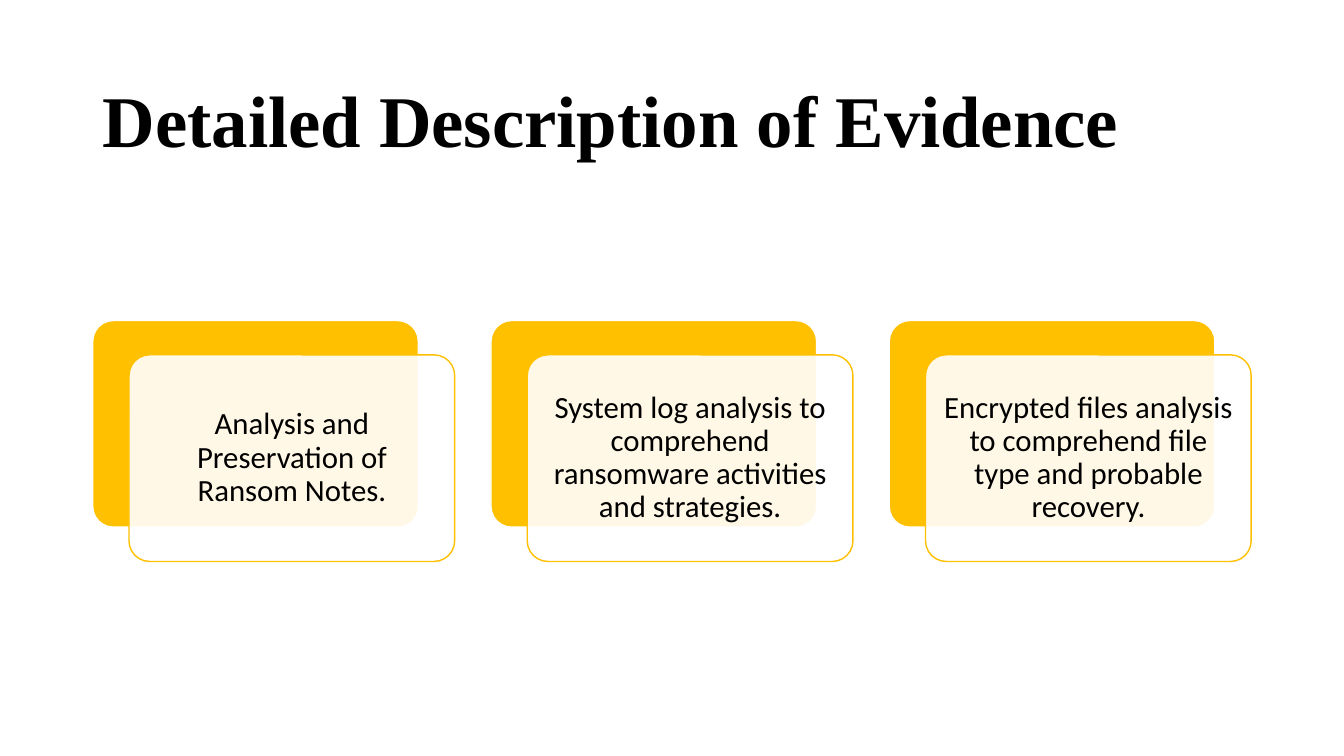
from lxml.etree import SubElement
from pptx import Presentation
from pptx.dml.color import RGBColor
from pptx.enum.shapes import MSO_SHAPE
from pptx.enum.text import MSO_ANCHOR, PP_ALIGN
from pptx.oxml.ns import qn
from pptx.util import Inches, Pt

TITLE = "Detailed Description of Evidence"
EVIDENCE = [
    "Analysis and Preservation of Ransom Notes.",
    "System log analysis to comprehend ransomware activities and strategies.",
    "Encrypted files analysis to comprehend file type and probable recovery.",
]

AMBER = RGBColor(0xFF, 0xC0, 0x00)
WHITE = RGBColor(0xFF, 0xFF, 0xFF)
BLACK = RGBColor(0x00, 0x00, 0x00)

TITLE_FONT = {"name": "Times New Roman", "size": Pt(52), "bold": True}
CARD_FONT = {"name": "Calibri", "size": Pt(22), "bold": False}

LEFT, TOP = 0.92, 3.18
COLUMN = 3.95
CARD_W, CARD_H = 3.23, 2.05
SHIFT_X, SHIFT_Y = 0.36, 0.34
PAD = 0.06


def add_card(slide, x, y, fill, line, opacity=None):
    """Add a rounded card; opacity is a percentage of the fill."""
    sp = slide.shapes.add_shape(MSO_SHAPE.ROUNDED_RECTANGLE, Inches(x), Inches(y),
                                Inches(CARD_W), Inches(CARD_H))
    sp.adjustments[0] = 0.1
    sp.shadow.inherit = False
    sp.fill.solid()
    sp.fill.fore_color.rgb = fill
    sp.line.color.rgb = line
    sp.line.width = Pt(1)
    if opacity is not None:
        color = sp._element.spPr.find(qn("a:solidFill")).find(qn("a:srgbClr"))
        SubElement(color, qn("a:alpha")).set("val", str(opacity * 1000))


def add_text(slide, text, box, font, align, inset_x, inset_y, space_after=0):
    tf = slide.shapes.add_textbox(*map(Inches, box)).text_frame
    frame = {"word_wrap": True, "vertical_anchor": MSO_ANCHOR.MIDDLE,
             "margin_left": Inches(inset_x), "margin_right": Inches(inset_x),
             "margin_top": Inches(inset_y), "margin_bottom": Inches(inset_y)}
    for name, value in frame.items():
        setattr(tf, name, value)
    p = tf.paragraphs[0]
    p.alignment, p.line_spacing, p.space_after = align, 0.9, Pt(space_after)
    r = p.add_run()
    r.text = text
    for name, value in font.items():
        setattr(r.font, name, value)
    r.font.color.rgb = BLACK


def main():
    prs = Presentation()
    prs.slide_width, prs.slide_height = Inches(13.33), Inches(7.5)
    slide = prs.slides.add_slide(prs.slide_layouts[6])

    add_text(slide, TITLE, (LEFT, 0.61, 11.5, 1.24), TITLE_FONT, PP_ALIGN.LEFT, 0.1, 0.05)
    for i, text in enumerate(EVIDENCE):
        x = LEFT + i * COLUMN
        front_x, front_y = x + SHIFT_X, TOP + SHIFT_Y
        add_card(slide, x, TOP, AMBER, WHITE)
        add_card(slide, front_x, front_y, WHITE, AMBER, opacity=90)
        box = (front_x + PAD, front_y + PAD, CARD_W - 2 * PAD, CARD_H - 2 * PAD)
        add_text(slide, text, box, CARD_FONT, PP_ALIGN.CENTER, 0.09, 0.09, space_after=7.7)

    prs.save("out.pptx")


if __name__ == "__main__":
    main()
